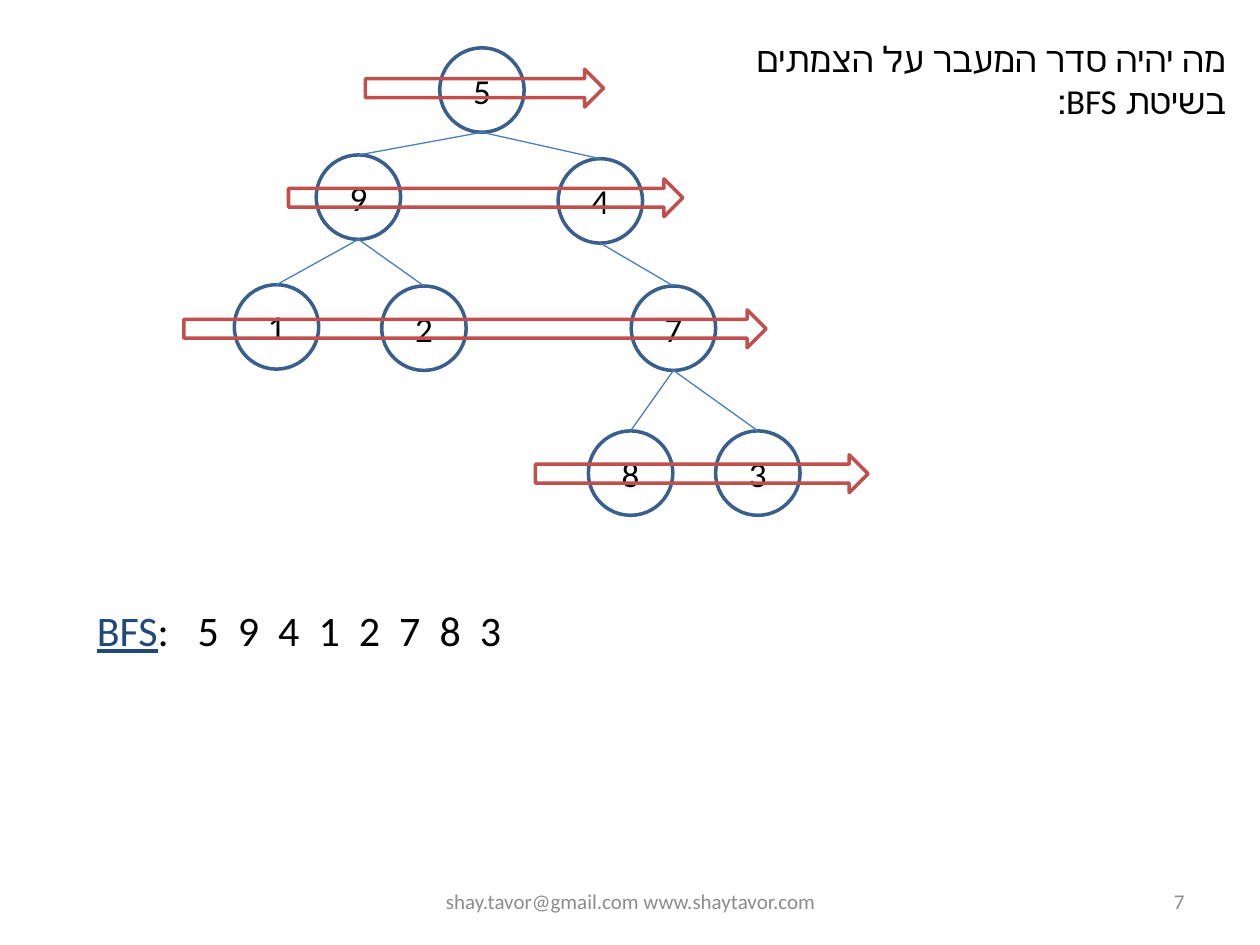
from typing import NamedTuple, Optional

import pptx
import pptx.dml.color
import pptx.enum.shapes
import pptx.enum.text
import pptx.oxml
import pptx.oxml.ns
import pptx.util

Inches = pptx.util.Inches
Pt = pptx.util.Pt
RGBColor = pptx.dml.color.RGBColor
Align = pptx.enum.text.PP_ALIGN
Anchor = pptx.enum.text.MSO_ANCHOR
Shapes = pptx.enum.shapes.MSO_SHAPE
qn = pptx.oxml.ns.qn

BLACK = RGBColor(0x00, 0x00, 0x00)
GRAY = RGBColor(0x8C, 0x8C, 0x8C)
NAVY = RGBColor(0x1F, 0x49, 0x7D)
NODE_BLUE = RGBColor(0x3A, 0x5F, 0x8C)
EDGE_BLUE = RGBColor(0x4B, 0x7E, 0xBC)
RED = RGBColor(0xC0, 0x50, 0x4D)
DIAMETER = 0.67


class Node(NamedTuple):
    label: str
    left: float
    top: float
    parent: Optional[str] = None


class LevelArrow(NamedTuple):
    left: float
    top: float
    width: float


# Listed level by level, so the order is also the BFS order.
NODES = [
    Node("5", 3.49, 0.38),
    Node("9", 2.51, 1.23, "5"),
    Node("4", 4.43, 1.26, "5"),
    Node("1", 1.86, 2.26, "9"),
    Node("2", 3.03, 2.27, "9"),
    Node("7", 5.01, 2.27, "4"),
    Node("8", 4.67, 3.42, "7"),
    Node("3", 5.68, 3.42, "7"),
]
LEVEL_ARROWS = [
    LevelArrow(2.9, 0.55, 1.89),
    LevelArrow(2.29, 1.42, 3.13),
    LevelArrow(1.46, 2.46, 4.62),
    LevelArrow(4.25, 3.61, 2.64),
]


def style_span(span, size: float, color: RGBColor) -> None:
    span.font.name = "Calibri"
    span.font.size = Pt(size)
    span.font.color.rgb = color


def write_text(box, text: str, size: float, color: RGBColor, align, anchor) -> None:
    frame = box.text_frame
    frame.word_wrap = True
    frame.vertical_anchor = anchor
    frame.text = text
    paragraph = frame.paragraphs[0]
    paragraph.alignment = align
    style_span(paragraph.runs[0], size, color)


def add_outline(page, kind, left: float, top: float, width: float, height: float,
                color: RGBColor):
    """Add an unfilled preset shape with a 2 pt line."""
    shape = page.shapes.add_shape(
        kind, Inches(left), Inches(top), Inches(width), Inches(height))
    shape.shadow.inherit = False
    shape.fill.background()
    shape.line.color.rgb = color
    shape.line.width = Pt(2)
    return shape


def add_node(page, node: Node):
    circle = add_outline(page, Shapes.OVAL, node.left, node.top,
                         DIAMETER, DIAMETER, NODE_BLUE)
    write_text(circle, node.label, 20, BLACK, Align.CENTER, Anchor.MIDDLE)
    return circle


def add_edge(page, parent, child) -> None:
    """Join the bottom of the parent circle to the top of the child circle."""
    edge = page.shapes.add_connector(
        pptx.enum.shapes.MSO_CONNECTOR.STRAIGHT,
        parent.left + parent.width // 2, parent.top + parent.height,
        child.left + child.width // 2, child.top)
    edge.end_connect(child, 0)
    edge.line.color.rgb = EDGE_BLUE
    edge.line.width = Pt(0.75)
    properties = edge._element.spPr
    properties.append(pptx.oxml.parse_xml(
        f'<a:effectLst {pptx.oxml.ns.nsdecls("a")}/>'))


def add_label(page, text: str, left: float, width: float, align) -> None:
    """Add a small gray text to the footer row."""
    box = page.shapes.add_textbox(Inches(left), Inches(6.95), Inches(width), Inches(0.4))
    write_text(box, text, 12, GRAY, align, Anchor.MIDDLE)


def add_question(page) -> None:
    title = page.shapes.title
    title.left, title.top = Inches(5.05), Inches(0.25)
    title.width, title.height = Inches(4.78), Inches(0.77)
    write_text(title, "מה יהיה סדר המעבר על הצמתים בשיטת BFS:",
               20, BLACK, Align.RIGHT, Anchor.TOP)
    title.text_frame.auto_size = pptx.enum.text.MSO_AUTO_SIZE.NONE
    title.text_frame.paragraphs[0]._p.get_or_add_pPr().set("rtl", "1")


def add_answer(page) -> None:
    box = page.shapes.add_textbox(Inches(0.67), Inches(4.75), Inches(9.17), Inches(0.5))
    frame = box.text_frame
    frame.word_wrap = True
    paragraph = frame.paragraphs[0]
    tab_list = pptx.oxml.parse_xml(f'<a:tabLst {pptx.oxml.ns.nsdecls("a")}/>')
    for index in range(len(NODES)):
        tab = tab_list.makeelement(qn("a:tab"), {
            "pos": str(Inches(0.8 + 0.32 * index)), "algn": "l"})
        tab_list.append(tab)
    paragraph._p.get_or_add_pPr().append(tab_list)
    name = paragraph.add_run()
    name.text = "BFS"
    style_span(name, 24, NAVY)
    name.font.underline = True
    order = paragraph.add_run()
    order.text = ":\t" + "\t".join(node.label for node in NODES)
    style_span(order, 24, BLACK)


def main() -> None:
    deck = pptx.Presentation()
    deck.slide_width, deck.slide_height = Inches(10), Inches(7.5)
    page = deck.slides.add_slide(deck.slide_layouts.get_by_name("Title Only"))

    add_label(page, "shay.tavor@gmail.com www.shaytavor.com", 3.42, 3.17, Align.CENTER)
    add_label(page, "7", 7.17, 2.33, Align.RIGHT)
    circles = {node.label: add_node(page, node) for node in NODES}
    for node in NODES:
        if node.parent:
            add_edge(page, circles[node.parent], circles[node.label])
    add_question(page)
    add_answer(page)
    for arrow in LEVEL_ARROWS:
        add_outline(page, Shapes.RIGHT_ARROW, arrow.left, arrow.top,
                    arrow.width, 0.3, RED)

    deck.save("out.pptx")


if __name__ == "__main__":
    main()
